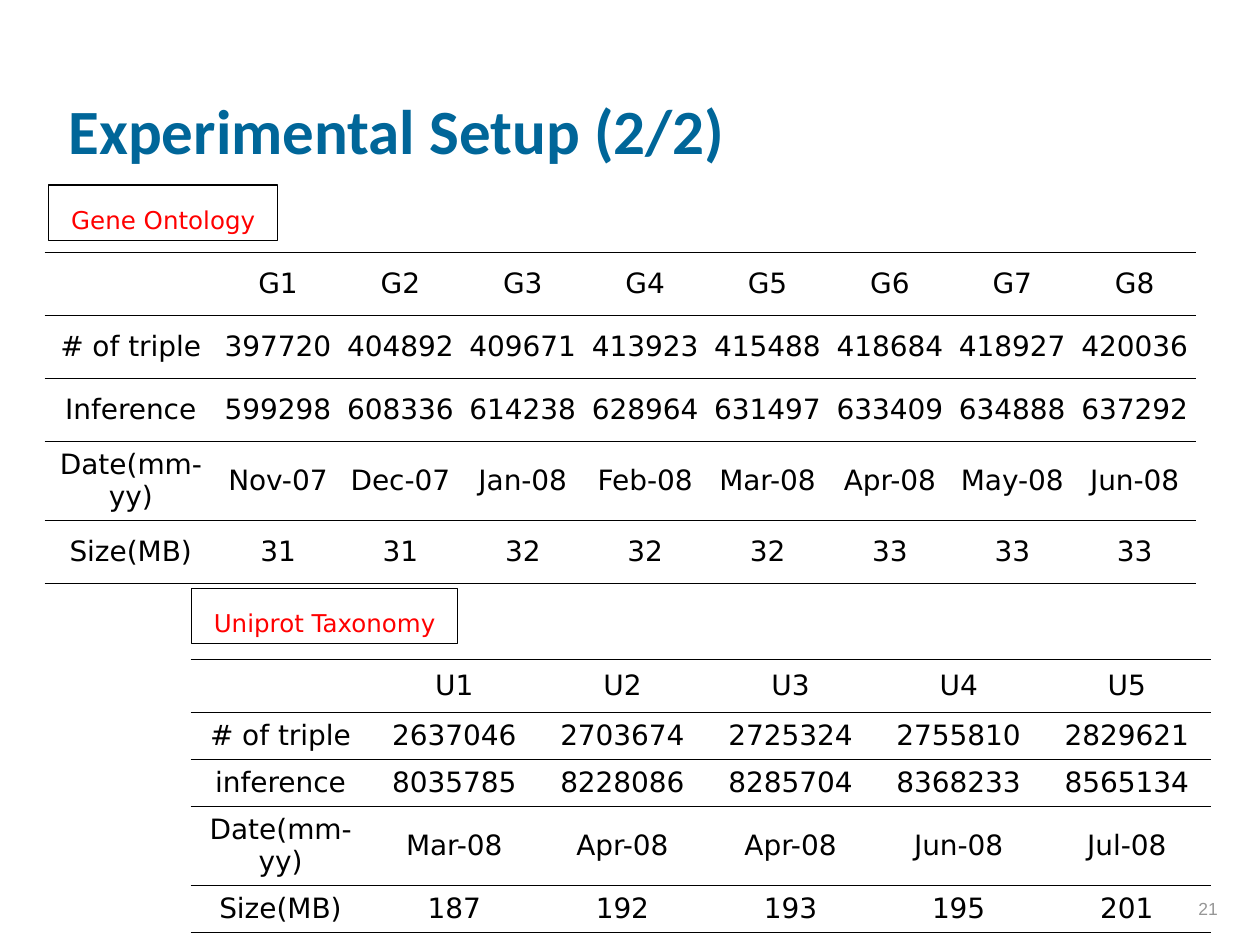
from dataclasses import dataclass

from lxml import etree
from pptx import Presentation
from pptx.dml.color import RGBColor
from pptx.enum.shapes import MSO_SHAPE
from pptx.enum.text import MSO_ANCHOR, PP_ALIGN
from pptx.oxml.ns import qn
from pptx.util import Pt

RECTANGLE = MSO_SHAPE.RECTANGLE
MIDDLE, BOTTOM = MSO_ANCHOR.MIDDLE, MSO_ANCHOR.BOTTOM
LEFT, CENTER, RIGHT = PP_ALIGN.LEFT, PP_ALIGN.CENTER, PP_ALIGN.RIGHT
TITLE_ONLY = 5


@dataclass(frozen=True)
class Theme:
    title_color: str = "006699"
    label_color: str = "FF0000"
    text_color: str = "000000"
    number_color: str = "969696"
    line_color: str = "000000"
    title_font: str = "Calibri"
    body_font: str = "DejaVu Sans"
    number_font: str = "Arial"
    title_size: float = 36
    table_size: float = 16
    label_size: float = 14
    number_size: float = 10
    rule_width: float = 0.45
    box_width: float = 0.75


THEME = Theme()

GENE_ROWS = [
    ["", "G1", "G2", "G3", "G4", "G5", "G6", "G7", "G8"],
    ["# of triple", "397720", "404892", "409671", "413923", "415488", "418684", "418927", "420036"],
    ["Inference", "599298", "608336", "614238", "628964", "631497", "633409", "634888", "637292"],
    ["Date(mm-yy)", "Nov-07", "Dec-07", "Jan-08", "Feb-08", "Mar-08", "Apr-08", "May-08", "Jun-08"],
    ["Size(MB)", "31", "31", "32", "32", "32", "33", "33", "33"],
]
TAXONOMY_ROWS = [
    ["", "U1", "U2", "U3", "U4", "U5"],
    ["# of triple", "2637046", "2703674", "2725324", "2755810", "2829621"],
    ["inference", "8035785", "8228086", "8285704", "8368233", "8565134"],
    ["Date(mm-yy)", "Mar-08", "Apr-08", "Apr-08", "Jun-08", "Jul-08"],
    ["Size(MB)", "187", "192", "193", "195", "201"],
]


def points(box):
    return [Pt(length) for length in box]


def format_paragraph(paragraph, font_name, size, color, alignment, bold=False):
    paragraph.alignment = alignment
    font = paragraph.font
    font.name, font.size, font.bold = font_name, Pt(size), bold
    font.color.rgb = RGBColor.from_string(color)


def add_title(slide, box, text):
    title = slide.shapes.title
    title.left, title.top, title.width, title.height = points(box)
    frame = title.text_frame
    frame.text = text
    frame.vertical_anchor = BOTTOM
    format_paragraph(frame.paragraphs[0], THEME.title_font, THEME.title_size,
                     THEME.title_color, LEFT, bold=True)


def add_slide_number(slide, box, text):
    frame = slide.shapes.add_textbox(*points(box)).text_frame
    frame.word_wrap = True
    frame.vertical_anchor = BOTTOM
    frame.text = text
    format_paragraph(frame.paragraphs[0], THEME.number_font, THEME.number_size,
                     THEME.number_color, RIGHT)


def add_label(slide, box, text):
    shape = slide.shapes.add_shape(RECTANGLE, *points(box))
    shape.shadow.inherit = False
    shape.fill.background()
    shape.line.color.rgb = RGBColor.from_string(THEME.line_color)
    shape.line.width = Pt(THEME.box_width)
    frame = shape.text_frame
    frame.word_wrap = False
    frame.vertical_anchor = MIDDLE
    frame.margin_top, frame.margin_bottom = Pt(11.6), Pt(3.6)
    frame.text = text
    format_paragraph(frame.paragraphs[0], THEME.body_font, THEME.label_size,
                     THEME.label_color, CENTER)


def set_borders(cell):
    properties = cell._tc.get_or_add_tcPr()
    for side in ("a:lnL", "a:lnR"):
        line = etree.SubElement(properties, qn(side))
        etree.SubElement(line, qn("a:noFill"))
    for side in ("a:lnT", "a:lnB"):
        line = etree.SubElement(properties, qn(side), w=str(Pt(THEME.rule_width)))
        fill = etree.SubElement(line, qn("a:solidFill"))
        etree.SubElement(fill, qn("a:srgbClr"), val=THEME.line_color)


def format_cell(cell, text):
    set_borders(cell)
    cell.fill.background()
    cell.vertical_anchor = MIDDLE
    cell.margin_left = cell.margin_right = Pt(0.75)
    cell.margin_top = cell.margin_bottom = Pt(3.6)
    cell.text = text
    format_paragraph(cell.text_frame.paragraphs[0], THEME.body_font, THEME.table_size,
                     THEME.text_color, CENTER)


def add_data_table(slide, box, rows, label_width, row_heights):
    column_count = len(rows[0])
    table = slide.shapes.add_table(len(rows), column_count, *points(box)).table
    table.first_row = table.horz_banding = False
    value_width = (box[2] - label_width) / (column_count - 1)
    for index, column in enumerate(table.columns):
        column.width = Pt(value_width if index else label_width)
    for row, height, texts in zip(table.rows, row_heights, rows):
        row.height = Pt(height)
        for cell, text in zip(row.cells, texts):
            format_cell(cell, text)


def main():
    presentation = Presentation()
    presentation.slide_width, presentation.slide_height = Pt(720), Pt(540)
    slide = presentation.slides.add_slide(presentation.slide_layouts[TITLE_ONLY])
    add_title(slide, (32, 9, 612, 90), "Experimental Setup (2/2)")
    add_slide_number(slide, (553, 492.5, 150, 36), "21")
    add_data_table(slide, (25.5, 144, 658, 188.5), GENE_ROWS, 98.4, [36, 36, 36, 44.5, 36])
    add_data_table(slide, (109, 376.6, 583, 155), TAXONOMY_ROWS, 102.6,
                   [30.2, 26.9, 26.9, 44.1, 26.9])
    add_label(slide, (27.8, 105.8, 131, 31.6), "Gene Ontology")
    add_label(slide, (109.6, 336.2, 152, 31.6), "Uniprot Taxonomy")
    presentation.save("out.pptx")


if __name__ == "__main__":
    main()
